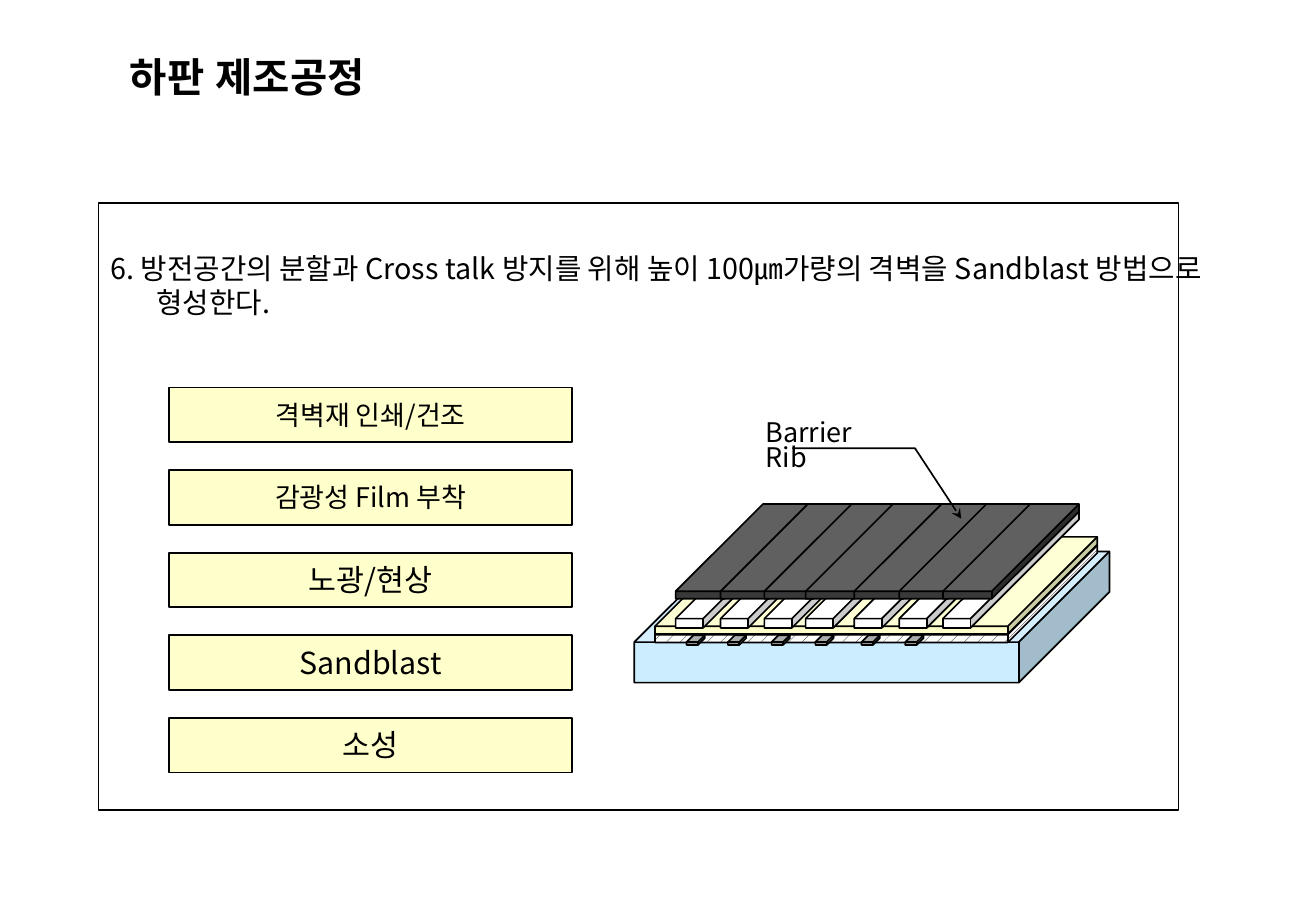
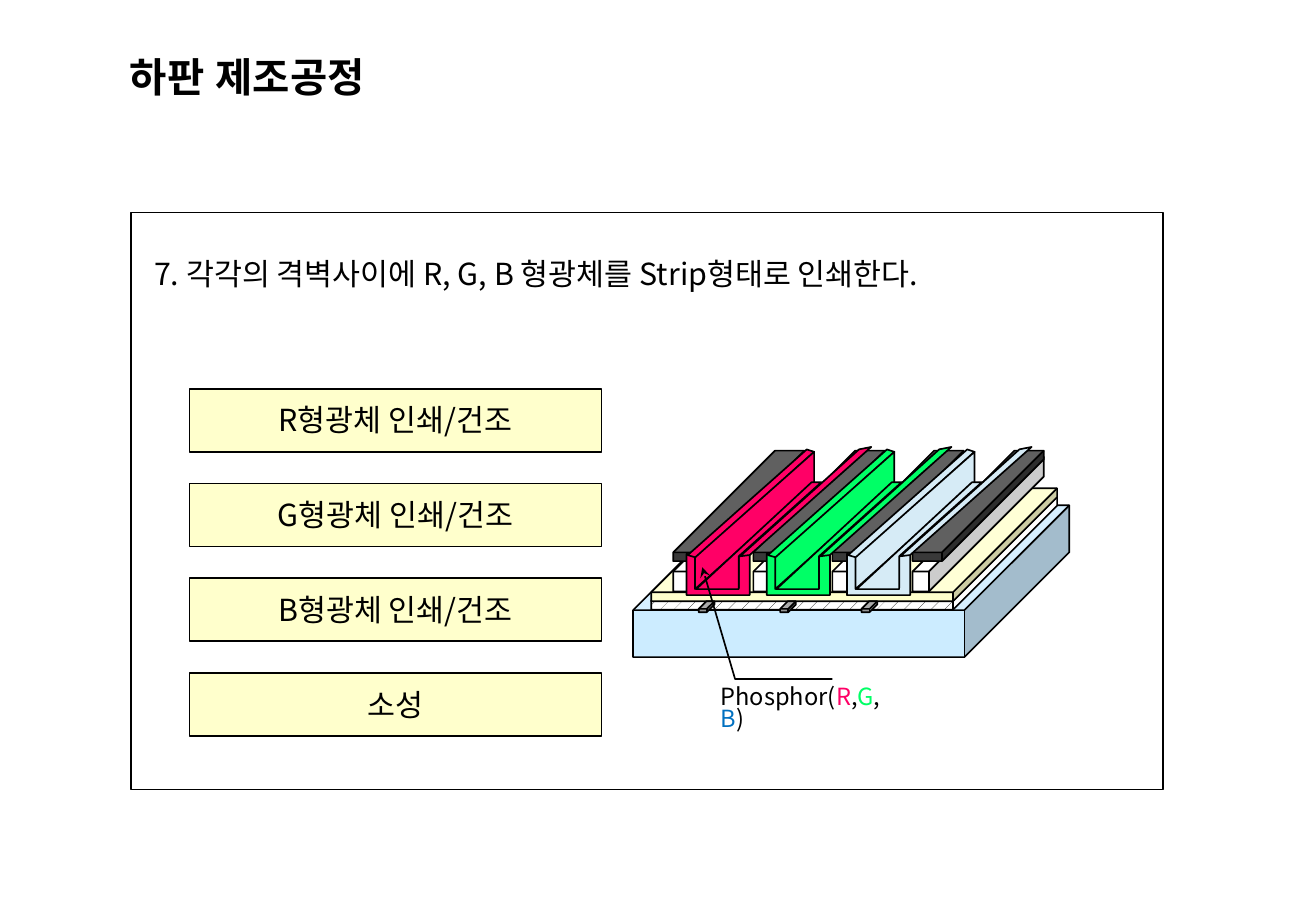
from lxml.etree import SubElement
from pptx import Presentation
from pptx.dml.color import RGBColor
from pptx.enum.dml import MSO_PATTERN
from pptx.enum.shapes import MSO_SHAPE
from pptx.enum.text import MSO_ANCHOR, PP_ALIGN
from pptx.oxml.ns import qn
from pptx.util import Inches, Pt

BLACK, WHITE, CREAM, GLASS = "000000", "FFFFFF", "FFFFCC", "CCECFF"
ELECTRODE, RIB_TOP = "969696", "393939"
RED, GREEN, PALE_BLUE, BLUE = "FF0066", "00FF66", "D6EBF6", "0070C0"
HATCH = "hatch"
TITLE = "하판 제조공정"
TITLE_FONT, BODY_FONT = "Arial", "Noto Sans CJK KR"
LINE_HEIGHT = 1.16  # points of leading per point of text size

# Outlines of the red phosphor channel; the others are shifted to the right
CHANNEL = [
    [(5.65, 4.56), (5.73, 4.58), (5.73, 4.84), (6.08, 4.84),
     (6.08, 4.58), (6.17, 4.56), (6.17, 4.9), (5.65, 4.9)],
    [(5.73, 4.59), (5.66, 4.57), (6.64, 3.7), (6.7, 3.72)],
    [(7.17, 3.68), (7.07, 3.7), (6.09, 4.58), (6.17, 4.57)],
    [(6.7, 3.72), (6.7, 3.97), (5.72, 4.85), (5.72, 4.59)],
    [(6.68, 3.97), (6.76, 3.97), (6.08, 4.58), (6.08, 4.85), (5.73, 4.85)],
]
CHANNEL_PITCH = 0.66

# Boxes are left, top, width, height; layers add the cube depth and the fill;
# electrodes and ribs repeat along a list of left edges
SLIDES = [
    dict(
        frame=(0.81, 1.67, 8.89, 5),
        body=(0.81, 2.03, 9.21, 1.1), body_size=17,
        text="6. 방전공간의 분할과 Cross talk 방지를 위해 높이 100㎛가량의 격벽을 Sandblast 방법으로 형성한다.",
        step_box=(1.39, 3.19, 3.32, 0.45), step_pitch=0.68,
        steps=[("격벽재 인쇄/건조", 16), ("감광성 Film 부착", 16),
               ("노광/현상", 18), ("Sandblast", 18), ("소성", 18)],
        layers=[(5.22, 4.54, 3.91, 1.08, 0.691, GLASS),
                (5.39, 4.49, 3.64, 0.8, 0.921, HATCH),
                (5.39, 4.42, 3.64, 0.8, 0.921, CREAM)],
        electrodes=[5.65, 5.99, 6.35, 6.71, 7.09, 7.45],
        electrode=(5.23, 0.15, 0.08, 0.7, ELECTRODE),
        ribs=[5.56, 5.93, 6.29, 6.63, 7.03, 7.4, 7.76],
        rib=[(4.2, 1.12, 0.97, 0.921, WHITE),
             (4.15, 1.12, 0.78, 0.921, RIB_TOP)],
        phosphors=[],
        callout=[(7.91, 4.27), (7.53, 3.69), (6.52, 3.69)],
        label_box=(6.28, 3.47, 1.05, 0.42), label_size=16,
        label=[("Barrier Rib", BLACK)],
    ),
    dict(
        frame=(1.08, 1.75, 8.49, 4.75),
        body=(1.17, 2.06, 8.35, 1.03), body_size=18,
        text="7. 각각의 격벽사이에 R, G, B 형광체를 Strip형태로 인쇄한다.",
        step_box=(1.56, 3.2, 3.39, 0.52), step_pitch=0.78,
        steps=[("R형광체 인쇄/건조", 18), ("G형광체 인쇄/건조", 18),
               ("B형광체 인쇄/건조", 18), ("소성", 18)],
        layers=[(5.21, 4.16, 3.59, 1.25, 0.691, GLASS),
                (5.36, 4.09, 3.34, 0.93, 0.921, HATCH),
                (5.36, 4.02, 3.34, 0.93, 0.921, CREAM)],
        electrodes=[5.75, 6.42, 7.09],
        electrode=(4.95, 0.13, 0.09, 0.7, ELECTRODE),
        ribs=[5.54, 6.2, 6.85, 7.51],
        rib=[(3.76, 1.08, 1.11, 0.876, WHITE),
             (3.71, 1.08, 0.91, 0.921, RIB_TOP)],
        phosphors=[(2, PALE_BLUE), (1, GREEN), (0, RED)],
        callout=[(5.78, 4.67), (6.05, 5.59), (6.85, 5.59)],
        label_box=(5.91, 5.66, 1.47, 0.38), label_size=14,
        label=[("Phosphor(", BLACK), ("R", RED), (",", BLACK), ("G", GREEN),
               (",", BLACK), ("B", BLUE), (")", BLACK)],
    ),
]


def style(sp, fill=None):
    """Black 1 pt outline, no shadow, and a plain, hatched or empty fill."""
    sp.shadow.inherit = False
    sp.line.width = Pt(1)
    sp.line.color.rgb = RGBColor.from_string(BLACK)
    if fill is None:
        sp.fill.background()
    elif fill == HATCH:
        sp.fill.patterned()
        sp.fill.pattern = MSO_PATTERN.PERCENT_10
        sp.fill.fore_color.rgb = RGBColor.from_string(BLACK)
        sp.fill.back_color.rgb = RGBColor.from_string(WHITE)
    else:
        sp.fill.solid()
        sp.fill.fore_color.rgb = RGBColor.from_string(fill)


def write(sp, runs, size, font=BODY_FONT, tight=1):
    """Put coloured runs in the shape's first paragraph and return it."""
    tf = sp.text_frame
    tf.word_wrap = True
    p = tf.paragraphs[0]
    p.line_spacing = Pt(round(size * LINE_HEIGHT * tight, 1))
    p.font.size = Pt(size)
    p.font.color.rgb = RGBColor.from_string(BLACK)
    p.font.name = font
    defaults = p._p.pPr.find(qn("a:defRPr"))
    SubElement(defaults, qn("a:ea")).set("typeface", font)
    for text, color in runs:
        r = p.add_run()
        r.text = text
        if color != BLACK:
            r.font.color.rgb = RGBColor.from_string(color)
    return p


prs = Presentation()
prs.slide_width, prs.slide_height = Inches(10.83), Inches(7.5)

for page in SLIDES:
    s = prs.slides.add_slide(prs.slide_layouts[6])

    # Title and frame
    sp = s.shapes.add_textbox(*map(Inches, (0.97, 0.39, 9.23, 0.61)))
    write(sp, [(TITLE, BLACK)], 24, TITLE_FONT).font.bold = True
    sp = s.shapes.add_shape(MSO_SHAPE.RECTANGLE, *map(Inches, page["frame"]))
    style(sp)

    # Numbered description with a hanging indent
    sp = s.shapes.add_textbox(*map(Inches, page["body"]))
    p = write(sp, [(page["text"], BLACK)], page["body_size"])
    p._p.pPr.set("marL", str(Inches(0.38)))
    p._p.pPr.set("indent", str(-Inches(0.38)))

    # Process steps
    left, top, width, height = page["step_box"]
    for i, (text, size) in enumerate(page["steps"]):
        box = (left, top + i * page["step_pitch"], width, height)
        sp = s.shapes.add_shape(MSO_SHAPE.RECTANGLE, *map(Inches, box))
        style(sp, CREAM)
        write(sp, [(text, BLACK)], size).alignment = PP_ALIGN.CENTER
        sp.text_frame.vertical_anchor = MSO_ANCHOR.MIDDLE

    # Panel: glass and dielectric layers, electrodes, barrier ribs
    cubes = list(page["layers"])
    cubes += [(x, *page["electrode"]) for x in page["electrodes"]]
    cubes += [(x, *part) for x in page["ribs"] for part in page["rib"]]
    for *box, depth, fill in cubes:
        sp = s.shapes.add_shape(MSO_SHAPE.CUBE, *map(Inches, box))
        sp.adjustments[0] = depth
        style(sp, fill)

    # Phosphor channels between the ribs
    for i, fill in page["phosphors"]:
        for outline in CHANNEL:
            points = [(Inches(x + i * CHANNEL_PITCH), Inches(y)) for x, y in outline]
            builder = s.shapes.build_freeform(*points[0])
            builder.add_line_segments(points[1:], close=True)
            style(builder.convert_to_shape(), fill)

    # Callout line with an arrowhead at its start, and its label
    points = [(Inches(x), Inches(y)) for x, y in page["callout"]]
    builder = s.shapes.build_freeform(*points[0])
    builder.add_line_segments(points[1:], close=False)
    sp = builder.convert_to_shape()
    style(sp)
    SubElement(sp.line._get_or_add_ln(), qn("a:headEnd")).set("type", "stealth")
    sp = s.shapes.add_textbox(*map(Inches, page["label_box"]))
    tf = sp.text_frame
    tf.margin_left = tf.margin_right = Inches(0.02)
    tf.margin_top = tf.margin_bottom = Inches(0.01)
    write(sp, page["label"], page["label_size"], tight=0.8)

prs.save("out.pptx")
